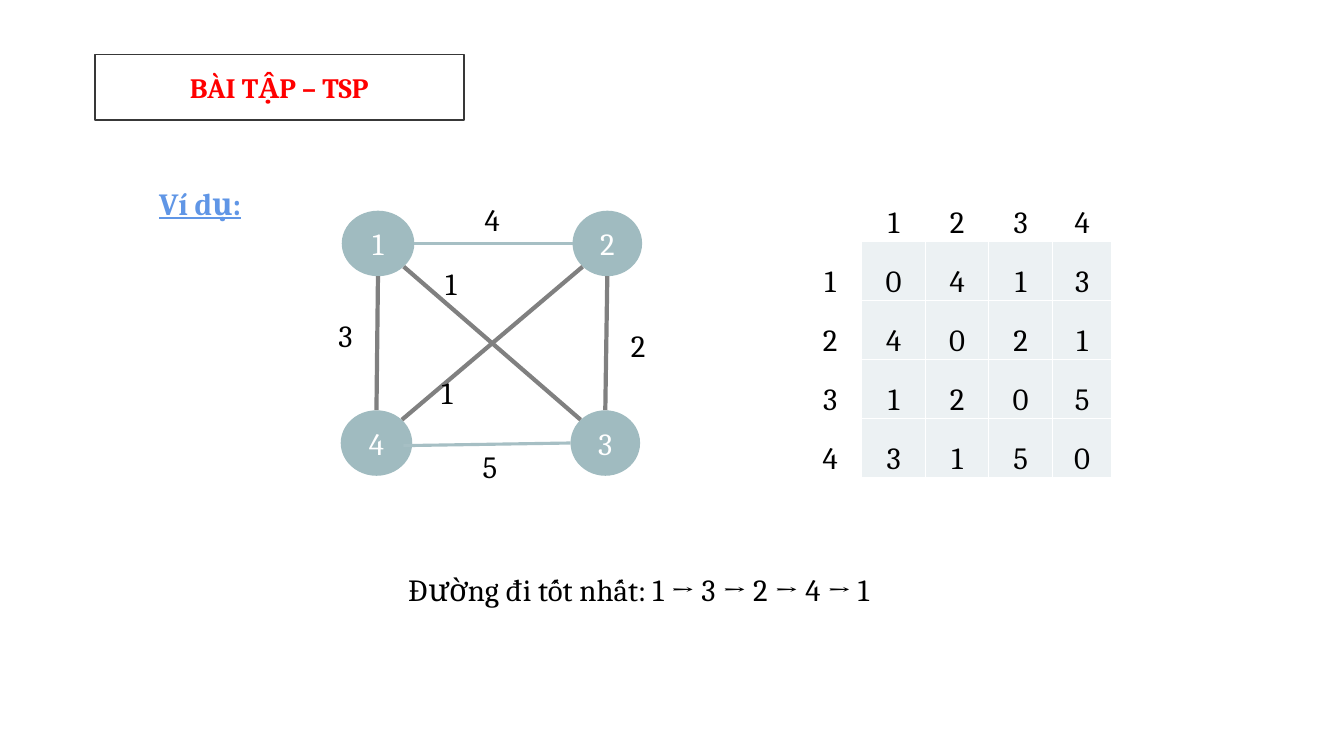
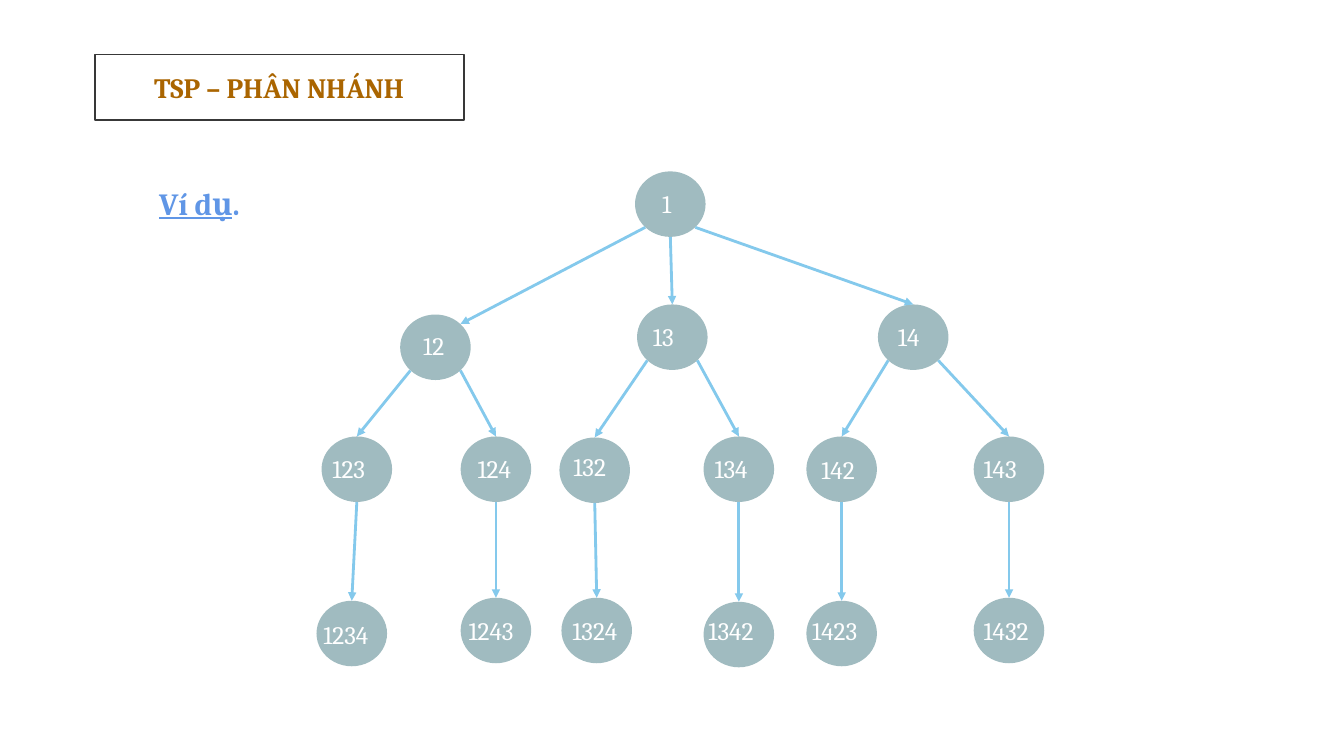
from itertools import product

from lxml import etree
from pptx import Presentation
from pptx.dml.color import RGBColor
from pptx.enum.shapes import MSO_CONNECTOR, MSO_SHAPE
from pptx.enum.text import MSO_ANCHOR, MSO_AUTO_SIZE, PP_ALIGN
from pptx.oxml.ns import qn
from pptx.util import Inches, Pt

STRAIGHT = MSO_CONNECTOR.STRAIGHT
OVAL = MSO_SHAPE.OVAL
MIDDLE, BASE = MSO_ANCHOR.MIDDLE, MSO_ANCHOR.BOTTOM
FIT_SHAPE, NO_FIT = MSO_AUTO_SIZE.SHAPE_TO_FIT_TEXT, MSO_AUTO_SIZE.NONE
LEFT_ALIGN, CENTER_ALIGN = PP_ALIGN.LEFT, PP_ALIGN.CENTER

# Shared style
FONT = "Cambria"
WHITE, BLACK, FRAME = "FFFFFF", "000000", "383838"
RED, BROWN, BLUE = "FF0000", "AA6500", "6096E6"
NODE_FILL, PALE_EDGE, GRAY_EDGE = "A0BBC0", "A6BFC4", "808080"
ARROW, CELL_FILL = "84C9EC", "ECF1F3"
BODY_SIZE, TITLE_SIZE, LABEL_SIZE = 22, 20, 18

# Points on an ellipse, as shares of its half width and half height
DIAGONAL = 0.71
TOP, BOTTOM, LEFT, RIGHT = (0, -1), (0, 1), (-1, 0), (1, 0)
TOP_LEFT, TOP_RIGHT = (-DIAGONAL, -DIAGONAL), (DIAGONAL, -DIAGONAL)
BOTTOM_LEFT, BOTTOM_RIGHT = (-DIAGONAL, DIAGONAL), (DIAGONAL, DIAGONAL)
INNER_RIGHT = (0.75, 0.08)

# Graph: node -> left, top, width in grid cells
GRAPH_NODES = {
    "1": (33.9, 20.9, 7.2),
    "2": (56.8, 20.9, 6.9),
    "4": (33.8, 40.7, 7.1),
    "3": (56.6, 40.7, 6.9),
}
GRAPH_EDGES = [
    ("1", RIGHT, "2", LEFT, PALE_EDGE, 2.25),
    ("4", INNER_RIGHT, "3", LEFT, PALE_EDGE, 2.25),
    ("1", BOTTOM, "4", TOP, GRAY_EDGE, 3),
    ("2", BOTTOM, "3", TOP, GRAY_EDGE, 3),
    ("1", BOTTOM_RIGHT, "3", TOP_LEFT, GRAY_EDGE, 3),
    ("4", TOP_RIGHT, "2", BOTTOM_LEFT, GRAY_EDGE, 3),
]
EDGE_WEIGHTS = [("4", 47.1, 19.4), ("5", 46.9, 43.9), ("2", 61.6, 31.9),
                ("3", 32.6, 30.9), ("1", 43.2, 25.8), ("1", 42.8, 36.6)]
DISTANCES = [
    ["", "1", "2", "3", "4"],
    ["1", "0", "4", "1", "3"],
    ["2", "4", "0", "2", "1"],
    ["3", "1", "2", "0", "5"],
    ["4", "3", "1", "5", "0"],
]

# Tree: path -> node left, node top, label left, label top in grid cells
TREE = {
    "1": (63, 17, 64.7, 18.2),
    "12": (39.7, 31.2, 41, 32.3),
    "13": (63.2, 30.2, 63.8, 31.4),
    "14": (87.1, 30.2, 88.1, 31.4),
    "123": (31.9, 43.3, 32, 44.5),
    "124": (45.7, 43.3, 46.4, 44.5),
    "132": (55.5, 43.4, 55.9, 44.3),
    "134": (69.8, 43.3, 69.9, 44.5),
    "142": (80, 43.3, 80.5, 44.6),
    "143": (96.6, 43.3, 96.6, 44.5),
    "1234": (31.4, 59.6, 31.1, 60.9),
    "1243": (45.7, 59.3, 45.5, 60.6),
    "1324": (55.7, 59.3, 55.8, 60.6),
    "1342": (69.8, 59.7, 69.3, 60.6),
    "1423": (80, 59.6, 79.6, 60.6),
    "1432": (96.6, 59.3, 96.6, 60.6),
}
# Where the branches leave a node, by number of children
BRANCH_STARTS = {
    1: [BOTTOM],
    2: [BOTTOM_LEFT, BOTTOM_RIGHT],
    3: [BOTTOM_LEFT, BOTTOM, BOTTOM_RIGHT],
}


def grid(*cells):
    """Lengths on a grid of ten cells to the inch."""
    return [Inches(cell / 10) for cell in cells]


def color(hex_value):
    return RGBColor.from_string(hex_value)


def paint(target, hex_value):
    target.fill.solid()
    target.fill.fore_color.rgb = color(hex_value)


def add_run(paragraph, text, size, hex_value, bold=False, underline=False):
    run = paragraph.add_run()
    run.text = text
    font = run.font
    font.name, font.size, font.color.rgb = FONT, Pt(size), color(hex_value)
    font.bold, font.underline = bold, underline


def add_text(slide, box, text, size=BODY_SIZE, hex_value=BLACK, wrap=True):
    frame = slide.shapes.add_textbox(*grid(*box)).text_frame
    frame.word_wrap = wrap
    frame.auto_size = FIT_SHAPE
    paragraph = frame.paragraphs[0]
    paragraph.alignment = LEFT_ALIGN
    if text:
        add_run(paragraph, text, size, hex_value)
    return paragraph


def add_titled_slide(presentation, title_text, title_color):
    slide = presentation.slides.add_slide(presentation.slide_layouts[5])
    title = slide.shapes.title
    title.left, title.top, title.width, title.height = grid(9.4, 5.4, 36.6, 6.5)
    paint(title, WHITE)
    title.line.color.rgb = color(FRAME)
    title.line.width = Pt(1.25)
    frame = title.text_frame
    frame.vertical_anchor, frame.auto_size = MIDDLE, NO_FIT
    paragraph = frame.paragraphs[0]
    paragraph.alignment = CENTER_ALIGN
    add_run(paragraph, title_text, TITLE_SIZE, title_color, bold=True)
    return slide


def add_example_heading(slide, *runs):
    """Each run is a text and whether it is underlined."""
    paragraph = add_text(slide, (14.8, 17.8, 11.3, 4.7), "")
    for text, underline in runs:
        add_run(paragraph, text, BODY_SIZE, BLUE, True, underline)


def add_node(slide, left, top, width=7, text=""):
    node = slide.shapes.add_shape(OVAL, *grid(left, top, width, 6.5))
    node.shadow.inherit = False
    paint(node, NODE_FILL)
    node.line.fill.background()
    if text:
        node.text_frame.vertical_anchor = MIDDLE
        paragraph = node.text_frame.paragraphs[0]
        paragraph.alignment = CENTER_ALIGN
        add_run(paragraph, text, BODY_SIZE, WHITE)
    return node


def site(node, shares):
    across, down = shares
    return (int(node.left + node.width * (1 + across) / 2),
            int(node.top + node.height * (1 + down) / 2))


def add_link(slide, start, start_site, end, end_site, hex_value, width,
             arrow=False):
    connector = slide.shapes.add_connector(
        STRAIGHT, *site(start, start_site), *site(end, end_site))
    if end_site == TOP:
        connector.end_connect(end, 0)
    connector.line.color.rgb = color(hex_value)
    connector.line.width = Pt(width)
    properties = connector._element.spPr
    if arrow:
        etree.SubElement(properties.find(qn("a:ln")), qn("a:tailEnd"),
                         type="triangle")
    etree.SubElement(properties, qn("a:effectLst"))


def add_cell_borders(cell, hex_value, width):
    properties = cell._tc.get_or_add_tcPr()
    for side in ("lnL", "lnR", "lnT", "lnB"):
        line = etree.SubElement(properties, qn("a:" + side), w=str(Pt(width)))
        fill = etree.SubElement(line, qn("a:solidFill"))
        etree.SubElement(fill, qn("a:srgbClr"), val=hex_value)


def add_matrix(slide, values):
    count = len(values)
    table = slide.shapes.add_table(
        count, count, *grid(79.2, 18.1, 31.3, 29.3)).table
    table.first_row = table.horz_banding = False
    for column, width in zip(table.columns, grid(6.3, 6.3, 6.3, 6.3, 5.9)):
        column.width = width
    for row, column in product(range(count), repeat=2):
        cell = table.cell(row, column)
        add_cell_borders(cell, WHITE, 1)
        paint(cell, CELL_FILL if row and column else WHITE)
        cell.vertical_anchor = BASE
        cell.margin_left = cell.margin_right = cell.margin_top = Inches(0.01)
        cell.margin_bottom = 0
        paragraph = cell.text_frame.paragraphs[0]
        paragraph.alignment = CENTER_ALIGN
        if values[row][column]:
            add_run(paragraph, values[row][column], BODY_SIZE, BLACK)


def build_graph_slide(presentation):
    slide = add_titled_slide(presentation, "BÀI TẬP – TSP", RED)
    add_example_heading(slide, ("Ví dụ:", True))
    add_text(slide, (39.5, 56.1, 61.7, 4.7),
             "Đường đi tốt nhất: 1 → 3 → 2 → 4 → 1")
    # Weighted graph
    nodes = {name: add_node(slide, *place, text=name)
             for name, place in GRAPH_NODES.items()}
    for start, start_site, end, end_site, hex_value, width in GRAPH_EDGES:
        add_link(slide, nodes[start], start_site, nodes[end], end_site,
                 hex_value, width)
    # Distance matrix
    add_matrix(slide, DISTANCES)
    for weight, left, top in EDGE_WEIGHTS:
        add_text(slide, (left, top, 3.7, 4.7), weight, wrap=False)


def build_tree_slide(presentation):
    slide = add_titled_slide(presentation, "TSP – PHÂN NHÁNH", BROWN)
    add_example_heading(slide, ("Ví dụ", True), (".", False))
    nodes = {name: add_node(slide, left, top)
             for name, (left, top, _, _) in TREE.items()}
    # Branches: a child's path is its parent's path plus one city
    for parent in TREE:
        children = [name for name in TREE if name[:-1] == parent]
        starts = BRANCH_STARTS.get(len(children), [])
        for child, start_site in zip(children, starts):
            end_site = TOP_RIGHT if child == "12" else TOP
            add_link(slide, nodes[parent], start_site, nodes[child], end_site,
                     ARROW, 2, arrow=True)
    # Path labels
    for name, (_, _, left, top) in TREE.items():
        width = 5.3 if len(name) < 3 else 8.3
        add_text(slide, (left, top, width, 4), name, LABEL_SIZE, WHITE)


def main():
    presentation = Presentation()
    presentation.slide_width, presentation.slide_height = grid(133.33, 75)
    build_graph_slide(presentation)
    build_tree_slide(presentation)
    presentation.save("out.pptx")


if __name__ == "__main__":
    main()
